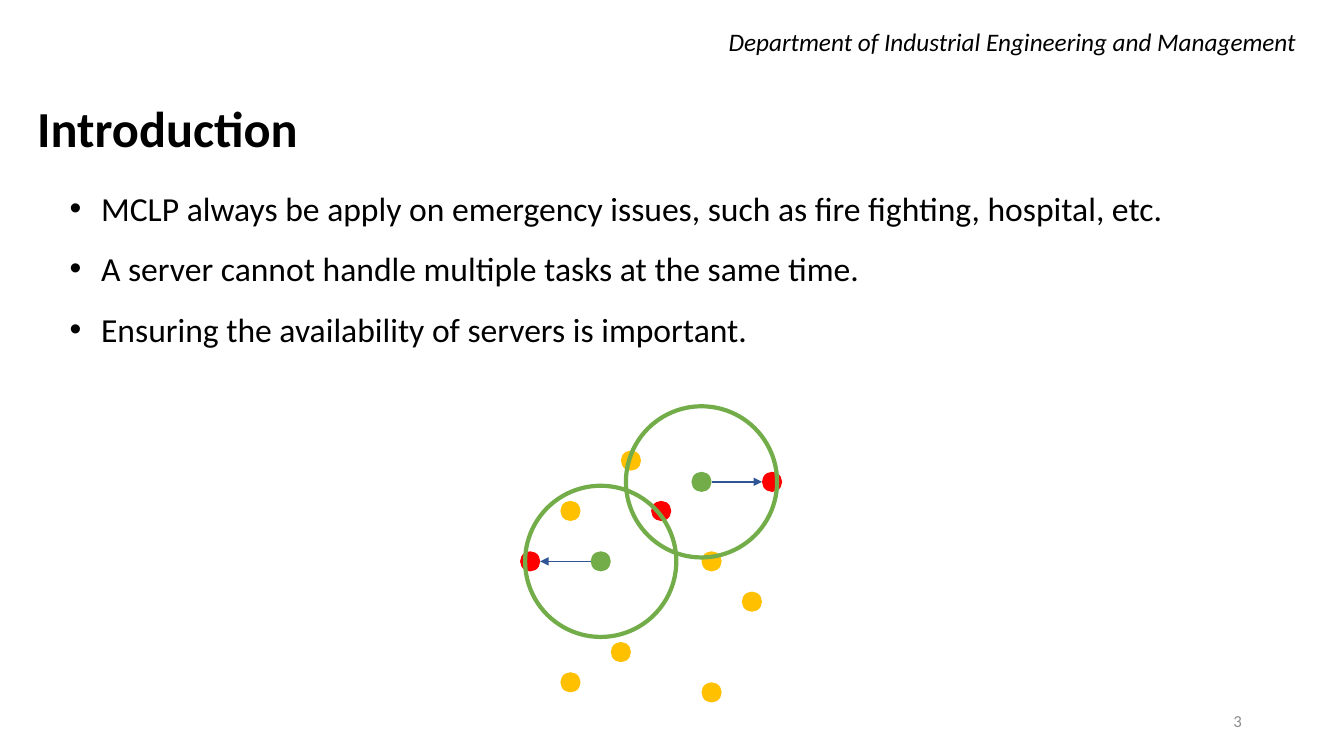
from lxml.etree import SubElement
from pptx import Presentation
from pptx.dml.color import RGBColor
from pptx.enum.shapes import MSO_CONNECTOR as Connector, MSO_SHAPE as Shape
from pptx.enum.text import MSO_ANCHOR as Anchor, MSO_AUTO_SIZE as AutoSize, PP_ALIGN as Align
from pptx.oxml.ns import qn
from pptx.util import Pt

BLACK, GRAY, BLUE = "000000", "8C8C8C", "2F5597"
GREEN, RED, YELLOW = "72AD49", "FF0000", "FFC000"
DOT, COVERAGE, REACH = 14.4, 108, 50.4


def color(target, value):
    target.rgb = RGBColor.from_string(value)


class SlideBuilder:
    """Draw styled elements on one slide, with all lengths in points."""

    font = "Calibri"

    def __init__(self, slide):
        self.slide = slide

    def place(self, shape, left, top, width, height):
        shape.left, shape.top = Pt(left), Pt(top)
        shape.width, shape.height = Pt(width), Pt(height)
        return shape

    def fill_text(self, shape, lines, size, ink=BLACK, bold=False, italic=False,
                  align=Align.LEFT, anchor=Anchor.TOP, spacing=1.0, bullet=None):
        frame = shape.text_frame
        frame.word_wrap = True
        frame.auto_size = AutoSize.NONE
        frame.vertical_anchor = anchor
        for index, line in enumerate(lines):
            paragraph = frame.add_paragraph() if index else frame.paragraphs[0]
            if bullet:
                self.bullet(paragraph, bullet)
            paragraph.alignment = align
            paragraph.line_spacing = spacing
            paragraph.space_before = Pt(0)
            run = paragraph.add_run()
            run.text = line
            run.font.name, run.font.size = self.font, Pt(size)
            run.font.bold, run.font.italic = bold, italic
            color(run.font.color, ink)

    def bullet(self, paragraph, mark):
        properties = paragraph._p.get_or_add_pPr()
        indent = Pt(22.5)
        properties.set("marL", str(indent))
        properties.set("indent", str(-indent))
        SubElement(properties, qn("a:buFont"), typeface="Arial")
        SubElement(properties, qn("a:buChar"), char=mark)

    def placeholder(self, index, box, lines, size, **style):
        shape = self.place(self.slide.placeholders[index], *box)
        self.fill_text(shape, lines, size, **style)

    def text(self, box, line, size, **style):
        shape = self.slide.shapes.add_textbox(*map(Pt, box))
        self.fill_text(shape, [line], size, **style)

    def circle(self, center, diameter, fill=None, outline=None):
        left, top = (value - diameter / 2 for value in center)
        shape = self.slide.shapes.add_shape(
            Shape.OVAL, Pt(left), Pt(top), Pt(diameter), Pt(diameter))
        shape.shadow.inherit = False
        if fill:
            shape.fill.solid()
            color(shape.fill.fore_color, fill)
        else:
            shape.fill.background()
        if outline:
            color(shape.line.color, outline)
            shape.line.width = Pt(3)
        else:
            shape.line.fill.background()

    def arrow(self, start, end):
        connector = self.slide.shapes.add_connector(
            Connector.STRAIGHT, *map(Pt, (*start, *end)))
        color(connector.line.color, BLUE)
        connector.line.width = Pt(1)
        SubElement(connector.line._get_or_add_ln(), qn("a:tailEnd"), type="triangle")
        SubElement(connector._element.spPr, qn("a:effectLst"))


def main():
    presentation = Presentation()
    presentation.slide_width, presentation.slide_height = Pt(960), Pt(540)
    slide = presentation.slides.add_slide(presentation.slide_layouts[1])
    builder = SlideBuilder(slide)

    builder.text((513.4, 15.1, 432, 28.8),
                 "Department of Industrial Engineering and Management", 18, italic=True)
    builder.text((678.2, 500.4, 216, 28.8), "3", 12, ink=GRAY,
                 align=Align.RIGHT, anchor=Anchor.MIDDLE)
    builder.placeholder(0, (19.4, 65.5, 266.4, 51.1), ["Introduction"], 36, bold=True)
    builder.placeholder(1, (42.5, 115.9, 813.6, 133.9), [
        "MCLP always be apply on emergency issues, such as fire fighting, hospital, etc.",
        "A server cannot handle multiple tasks at the same time.",
        "Ensuring the availability of servers is important.",
    ], 24, spacing=1.5, bullet="•")

    waiting_demands = [(450.7, 329), (407.5, 365), (443.5, 465.8), (508.3, 401),
                       (508.3, 494.6), (407.5, 487.4), (537.1, 429.8)]
    for center in waiting_demands:
        builder.circle(center, DOT, fill=YELLOW)
    builder.circle((472.3, 365), DOT, fill=RED)

    servers = [((429.1, 401), -1), ((501.1, 344.2), 1)]
    for (x, y), direction in servers:
        builder.circle((x, y), DOT, fill=GREEN)
        builder.circle((x + direction * REACH, y), DOT, fill=RED)
    for (x, y), direction in servers:
        builder.circle((x, y), COVERAGE, outline=GREEN)
        builder.arrow((x + direction * DOT / 2, y),
                      (x + direction * (REACH - DOT / 2), y))

    presentation.save("out.pptx")


if __name__ == "__main__":
    main()
